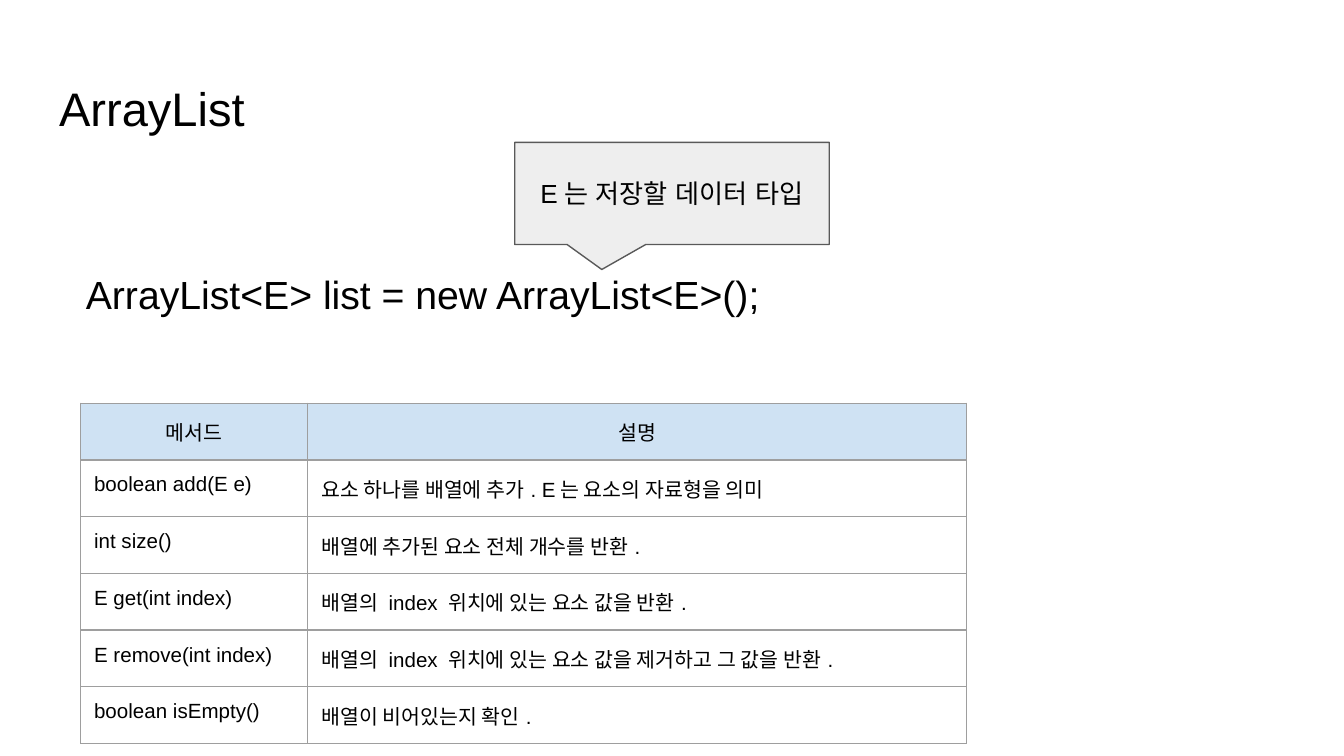
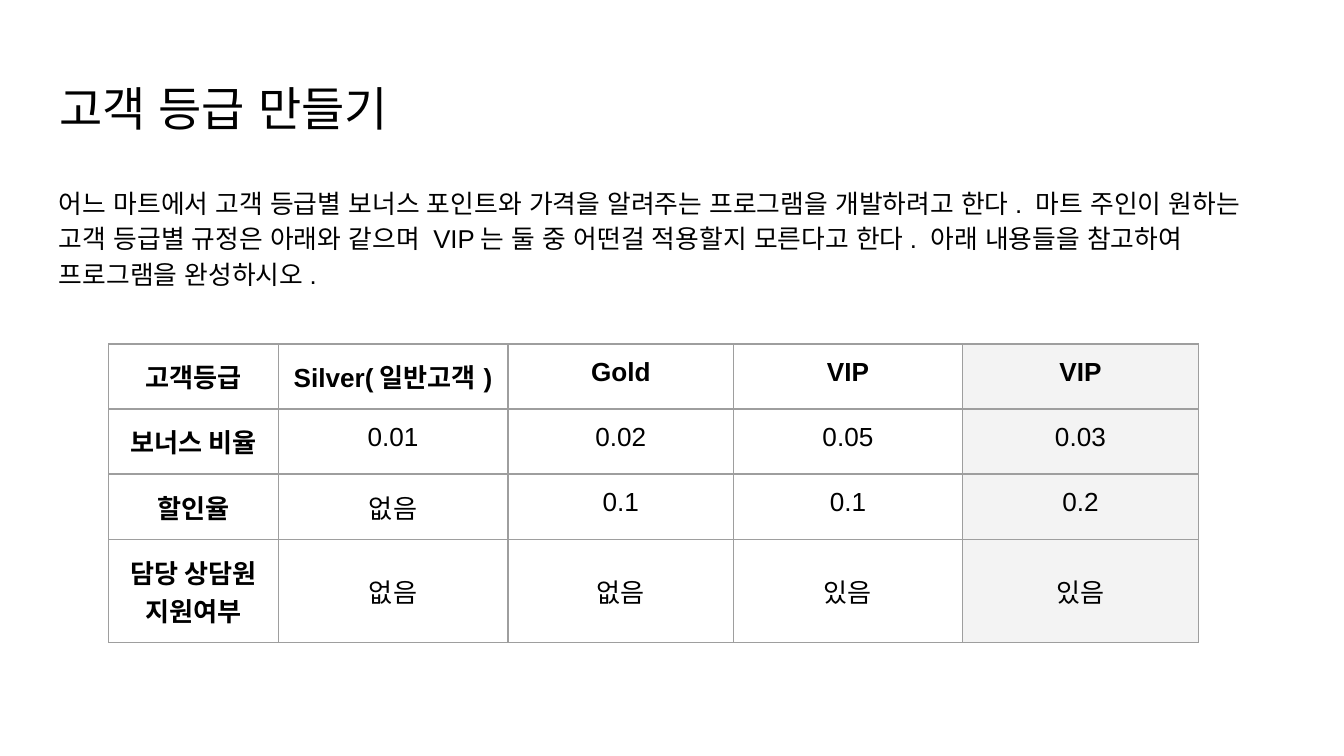
from lxml import etree
from pptx import Presentation
from pptx import util as u
from pptx.dml.color import RGBColor
from pptx.enum import shapes, text
from pptx.oxml import ns

WIDTH = 10
HEIGHT = WIDTH * 9 / 16
MARGIN = 0.34
CONTENT_WIDTH = WIDTH - 2 * MARGIN
INSET = u.Inches(0.1)
FONT = "Arial"
BLACK = RGBColor(0x00, 0x00, 0x00)
BORDER = RGBColor(0x9E, 0x9E, 0x9E)
HEADER_BLUE = RGBColor(0xCF, 0xE2, 0xF3)
HIGHLIGHT = RGBColor(0xF3, 0xF3, 0xF3)
CALLOUT_FILL = RGBColor(0xEE, 0xEE, 0xEE)
CALLOUT_LINE = RGBColor(0x59, 0x59, 0x59)
LEFT, CENTER = text.PP_ALIGN.LEFT, text.PP_ALIGN.CENTER
TOP, MIDDLE = text.MSO_ANCHOR.TOP, text.MSO_ANCHOR.MIDDLE

LIST_TITLE = "ArrayList"
DECLARATION = "ArrayList<E> list = new ArrayList<E>();"
TYPE_HINT = "E는 저장할 데이터 타입"
METHODS = [
    ("메서드", "설명"),
    ("boolean add(E e)", "요소 하나를 배열에 추가. E는 요소의 자료형을 의미"),
    ("int size()", "배열에 추가된 요소 전체 개수를 반환."),
    ("E get(int index)", "배열의 index 위치에 있는 요소 값을 반환."),
    ("E remove(int index)", "배열의 index 위치에 있는 요소 값을 제거하고 그 값을 반환."),
    ("boolean isEmpty()", "배열이 비어있는지 확인."),
]

GRADE_TITLE = "고객 등급 만들기"
TASK = (
    "어느 마트에서 고객 등급별 보너스 포인트와 가격을 알려주는 프로그램을 개발하려고 한다. "
    "마트 주인이 원하는 고객 등급별 규정은 아래와 같으며 VIP는 둘 중 어떤걸 적용할지 모른다고 한다. "
    "아래 내용들을 참고하여 프로그램을 완성하시오."
)
GRADES = [
    ("고객등급", "Silver(일반고객)", "Gold", "VIP", "VIP"),
    ("보너스 비율", "0.01", "0.02", "0.05", "0.03"),
    ("할인율", "없음", "0.1", "0.1", "0.2"),
    ("담당 상담원 지원여부", "없음", "없음", "있음", "있음"),
]


def inches(*lengths):
    return [u.Inches(length) for length in lengths]


def write(frame, words, size, align=LEFT, bold=False):
    para = frame.paragraphs[0]
    para.alignment = align
    span = para.add_run()
    span.text = words
    span.font.size = u.Pt(size)
    span.font.bold = bold
    span.font.color.rgb = BLACK
    span.font.name = FONT
    return para


def fill_frame(box, words, size, align=LEFT, anchor=TOP):
    frame = box.text_frame
    frame.word_wrap = True
    frame.auto_size = text.MSO_AUTO_SIZE.NONE
    frame.vertical_anchor = anchor
    frame.margin_left = frame.margin_right = INSET
    frame.margin_top = frame.margin_bottom = INSET
    para = write(frame, words, size, align)
    for span in para.runs:
        etree.SubElement(span.font._element, ns.qn("a:ea"), typeface=FONT)
    return para


def add_titled_slide(deck, title):
    page = deck.slides.add_slide(deck.slide_layouts[5])
    box = page.shapes.title
    box.left, box.top, box.width, box.height = inches(MARGIN, 0.49, CONTENT_WIDTH, 0.63)
    fill_frame(box, title, 25.2)
    return page


def add_text(page, place, words, size):
    return fill_frame(page.shapes.add_textbox(*inches(*place)), words, size)


def draw_borders(cell):
    properties = cell._tc.get_or_add_tcPr()
    for side in ("lnL", "lnR", "lnT", "lnB"):
        line = etree.SubElement(properties, ns.qn("a:" + side), w=str(u.Pt(0.75)))
        solid = etree.SubElement(line, ns.qn("a:solidFill"))
        etree.SubElement(solid, ns.qn("a:srgbClr"), val=str(BORDER))


def add_grid(page, left, top, widths, row_height, rows, size, style):
    """style(row, column) gives the fill (or None), alignment, anchor and boldness."""
    place = inches(left, top, sum(widths), row_height * len(rows))
    table = page.shapes.add_table(len(rows), len(widths), *place).table
    table.first_row = table.horz_banding = False
    for column, width in zip(table.columns, widths):
        column.width = u.Inches(width)
    for r, row in enumerate(rows):
        table.rows[r].height = u.Inches(row_height)
        for c, words in enumerate(row):
            fill, align, anchor, bold = style(r, c)
            cell = table.cell(r, c)
            cell.margin_left = cell.margin_right = INSET
            cell.margin_top = cell.margin_bottom = INSET
            cell.vertical_anchor = anchor
            draw_borders(cell)
            if fill is None:
                cell.fill.background()
            else:
                cell.fill.solid()
                cell.fill.fore_color.rgb = fill
            write(cell.text_frame, words, size, align, bold)


def method_style(row, column):
    return (HEADER_BLUE, CENTER, TOP, False) if row == 0 else (None, LEFT, TOP, False)


def grade_style(row, column):
    fill = HIGHLIGHT if column == len(GRADES[0]) - 1 else None
    anchor = MIDDLE if row == len(GRADES) - 1 and column > 0 else TOP
    return fill, CENTER, anchor, row == 0 or column == 0


def add_callout(page, place, words):
    callout = page.shapes.add_shape(
        shapes.MSO_SHAPE.RECTANGULAR_CALLOUT, *inches(*place))
    callout.shadow.inherit = False
    callout.adjustments[0] = -0.223
    callout.adjustments[1] = 0.745
    callout.fill.solid()
    callout.fill.fore_color.rgb = CALLOUT_FILL
    callout.line.color.rgb = CALLOUT_LINE
    callout.line.width = u.Pt(0.75)
    fill_frame(callout, words, 14, CENTER, MIDDLE)


def build_list_slide(deck):
    page = add_titled_slide(deck, LIST_TITLE)
    add_grid(page, 0.6, 3, (1.69, 4.9), 0.34, METHODS, 11, method_style)
    add_text(page, (0.54, 1.91, 7.08, 0.56), DECLARATION, 21)
    add_callout(page, (3.83, 1.06, 2.34, 0.76), TYPE_HINT)


def build_grade_slide(deck):
    page = add_titled_slide(deck, GRADE_TITLE)
    para = add_text(page, (MARGIN, 1.26, CONTENT_WIDTH, 0.94), TASK, 13.8)
    para.line_spacing = 1.15
    para.space_after = u.Pt(12)
    add_grid(page, 0.81, 2.56, (1.26, 1.71, 1.68, 1.7, 1.76), 0.43, GRADES, 14, grade_style)


def main():
    deck = Presentation()
    deck.slide_width, deck.slide_height = inches(WIDTH, HEIGHT)
    build_list_slide(deck)
    build_grade_slide(deck)
    deck.save("out.pptx")


if __name__ == "__main__":
    main()
